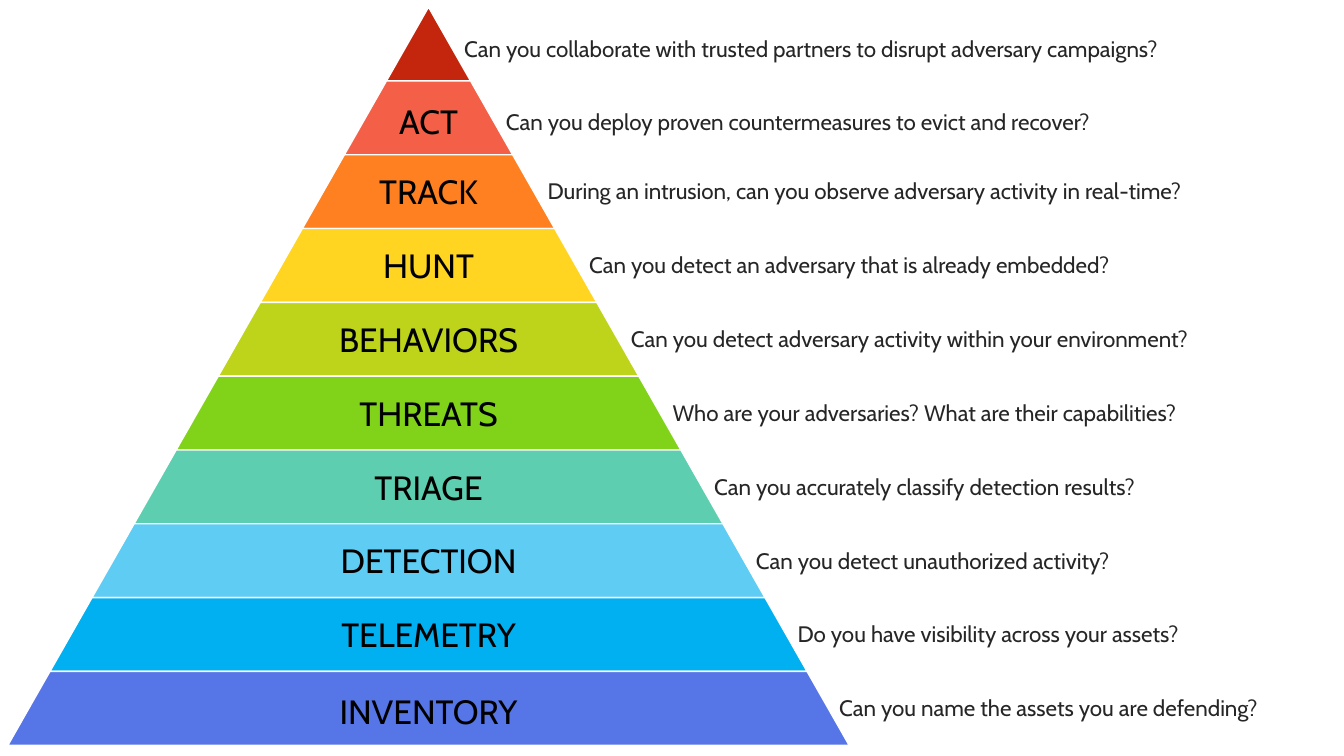
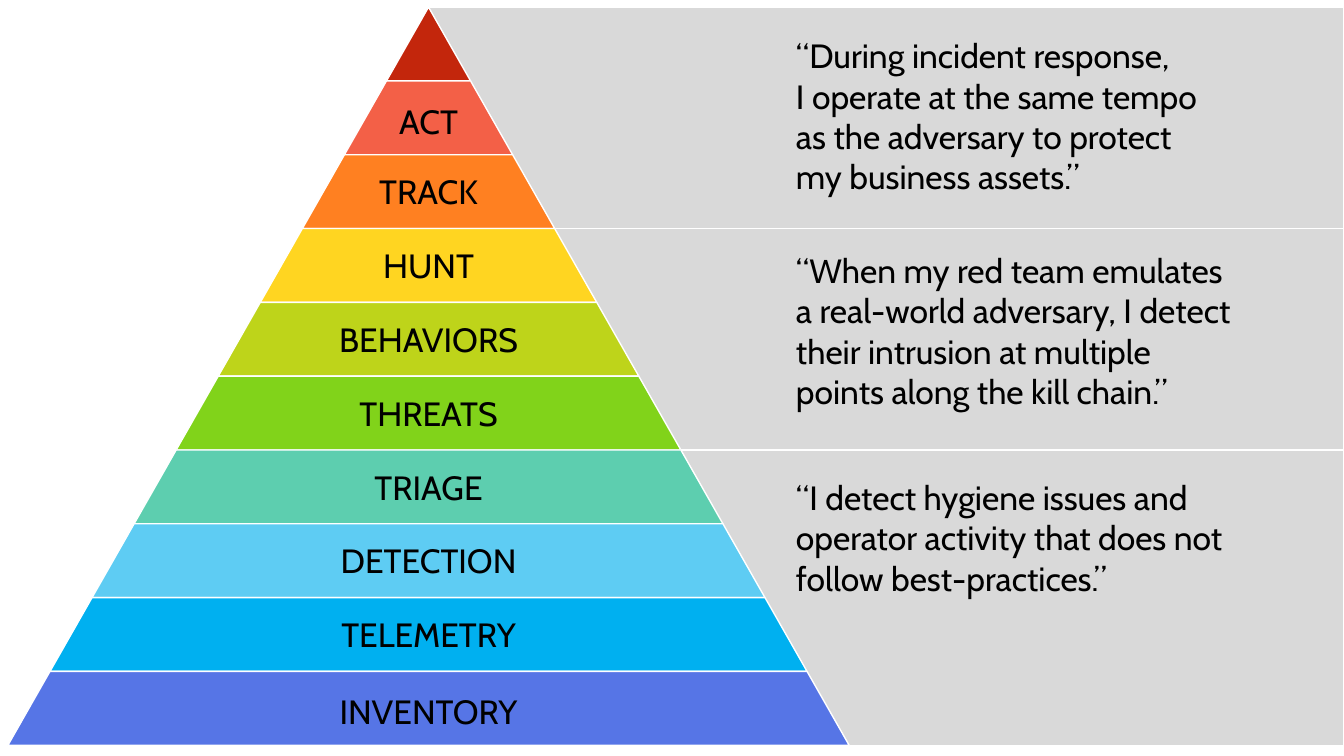
"""Builds two slides around a ten-tier pyramid of incident detection and response needs."""
from dataclasses import dataclass

from pptx import Presentation
from pptx.dml.color import RGBColor
from pptx.dml.fill import FillFormat
from pptx.enum.shapes import MSO_SHAPE as Preset
from pptx.enum.text import MSO_AUTO_SIZE as AutoSize, PP_ALIGN as Align
from pptx.shapes.autoshape import Shape
from pptx.shapes.shapetree import GroupShapes, SlideShapes
from pptx.slide import Slide
from pptx.util import Cm, Pt

Shapes = SlideShapes | GroupShapes

SLIDE_WIDTH, SLIDE_HEIGHT = 33.87, 19.05
APEX_X, APEX_Y = 10.8, 0.18
TIER_HEIGHT, TIER_SPREAD = 1.86, 1.06
QUESTION_LEFT, QUESTION_STEP, QUESTION_RIGHT = 11.45, 1.05, 32.9
QUOTE_LEFT = 19.81
BLANK_LAYOUT = 6

WHITE, PANEL_GREY, BLACK, DARK_GREY = "FFFFFF", "D9D9D9", "000000", "262626"


@dataclass(frozen=True)
class TextStyle:
    """Look of one kind of text."""
    color: str
    font: dict
    frame: dict
    align: Align = Align.LEFT


@dataclass(frozen=True)
class Tier:
    """One band of the pyramid, with text offsets from its upper edge."""
    label: str
    question: str
    color: str
    label_drop: float = 0.29
    question_drop: float = 0.45


@dataclass(frozen=True)
class Quote:
    """A statement on the panel beside a range of tiers."""
    text: str
    first_tier: int
    end_tier: int
    top: float
    width: float
    height: float


LARGE = {"name": "Cabin", "size": Pt(24)}
SMALL = {"name": "Cabin", "size": Pt(16)}
WRAPPED = {"word_wrap": True, "auto_size": AutoSize.SHAPE_TO_FIT_TEXT}
UNWRAPPED = {**WRAPPED, "word_wrap": False}

LABEL_STYLE = TextStyle(BLACK, LARGE, UNWRAPPED, Align.CENTER)
QUESTION_STYLE = TextStyle(DARK_GREY, SMALL, WRAPPED)
QUOTE_STYLE = TextStyle(BLACK, LARGE, WRAPPED)

TIERS = [
    Tier("", "Can you collaborate with trusted partners to disrupt adversary campaigns?",
         "C3260C", question_drop=0.58),
    Tier("ACT", "Can you deploy proven countermeasures to evict and recover?",
         "F36047", 0.38, 0.55),
    Tier("TRACK", "During an intrusion, can you observe adversary activity in real-time?",
         "FF8021"),
    Tier("HUNT", "Can you detect an adversary that is already embedded?", "FFD521"),
    Tier("BEHAVIORS", "Can you detect adversary activity within your environment?", "BED41A"),
    Tier("THREATS", "Who are your adversaries? What are their capabilities?", "81D31A"),
    Tier("TRIAGE", "Can you accurately classify detection results?", "5DCEAF"),
    Tier("DETECTION", "Can you detect unauthorized activity?", "5ECCF3"),
    Tier("TELEMETRY", "Do you have visibility across your assets?", "00B0F0"),
    Tier("INVENTORY", "Can you name the assets you are defending?", "5675E6", 0.36),
]

QUOTES = [
    Quote("“During incident response, \vI operate at the same tempo as the adversary "
          "to protect my business assets.”", 0, 3, 0.76, 11.23, 4.37),
    Quote("“When my red team emulates a real-world adversary, I detect their intrusion "
          "at multiple points along the kill chain.”", 3, 6, 6.17, 11.81, 4.37),
    Quote("“I detect hygiene issues and operator activity that does not follow "
          "best-practices.”", 6, 10, 11.89, 11.96, 3.33),
]


def apply_format(target: object, values: dict) -> None:
    """Set every attribute named in the format values."""
    for attribute, value in values.items():
        setattr(target, attribute, value)


def paint(fill: FillFormat, color: str) -> None:
    """Make a fill solid in a hex colour."""
    fill.solid()
    fill.fore_color.rgb = RGBColor.from_string(color)


def finish(shape: Shape, color: str) -> None:
    """Give a shape its flat fill and thin white outline."""
    shape.shadow.inherit = False
    paint(shape.fill, color)
    paint(shape.line.fill, WHITE)
    shape.line.width = Pt(1)


def tier_top(index: int) -> float:
    """Return the upper edge of a tier in centimetres."""
    return APEX_Y + index * TIER_HEIGHT


def write(shapes: Shapes, text: str, left: float, top: float,
          width: float, height: float, style: TextStyle) -> None:
    """Add a text box in the given style."""
    frame = shapes.add_textbox(Cm(left), Cm(top), Cm(width), Cm(height)).text_frame
    apply_format(frame, style.frame)
    paragraph = frame.paragraphs[0]
    paragraph.text = text
    paragraph.alignment = style.align
    for run in paragraph.runs:
        apply_format(run.font, style.font)
        paint(run.font.fill, style.color)


def draw_tier(shapes: Shapes, index: int, tier: Tier) -> None:
    """Draw one band of the pyramid and its label."""
    top, bottom = tier_top(index), tier_top(index + 1)
    upper, lower = index * TIER_SPREAD, (index + 1) * TIER_SPREAD
    corners = [(APEX_X - upper, top), (APEX_X + upper, top), (APEX_X + lower, bottom)]
    outline = shapes.build_freeform(Cm(APEX_X - lower), Cm(bottom))
    outline.add_line_segments([(Cm(x), Cm(y)) for x, y in corners], close=True)
    finish(outline.convert_to_shape(), tier.color)
    if tier.label:
        write(shapes, tier.label, APEX_X - (upper + lower) / 2, top + tier.label_drop,
              upper + lower, 1.27, LABEL_STYLE)


def draw_question(shapes: Shapes, index: int, tier: Tier) -> None:
    """Write the question to the right of its tier."""
    left = QUESTION_LEFT + index * QUESTION_STEP
    write(shapes, tier.question, left, tier_top(index) + tier.question_drop,
          QUESTION_RIGHT - left, 0.94, QUESTION_STYLE)


def draw_panel(shapes: Shapes, quote: Quote) -> None:
    """Draw the grey panel that reaches from the pyramid to the slide edge."""
    top, bottom = tier_top(quote.first_tier), tier_top(quote.end_tier)
    panel = shapes.add_shape(Preset.RECTANGLE, Cm(APEX_X), Cm(top),
                             Cm(SLIDE_WIDTH - APEX_X), Cm(bottom - top))
    finish(panel, PANEL_GREY)


def build_questions(slide: Slide) -> None:
    """Build the slide that asks one question per tier."""
    for index, tier in enumerate(TIERS):
        tier_shapes = slide.shapes.add_group_shape().shapes
        draw_tier(tier_shapes, index, tier)
        draw_question(tier_shapes, index, tier)


def build_quotes(slide: Slide) -> None:
    """Build the slide that sums up the tiers in three statements."""
    for quote in QUOTES:
        draw_panel(slide.shapes, quote)
    for index, tier in enumerate(TIERS):
        draw_tier(slide.shapes, index, tier)
    for quote in QUOTES:
        write(slide.shapes, quote.text, QUOTE_LEFT, quote.top,
              quote.width, quote.height, QUOTE_STYLE)


def main() -> None:
    """Build the presentation and save it."""
    deck = Presentation()
    apply_format(deck, {"slide_width": Cm(SLIDE_WIDTH), "slide_height": Cm(SLIDE_HEIGHT)})
    for build in (build_questions, build_quotes):
        build(deck.slides.add_slide(deck.slide_layouts[BLANK_LAYOUT]))
    deck.save("out.pptx")


if __name__ == "__main__":
    main()
